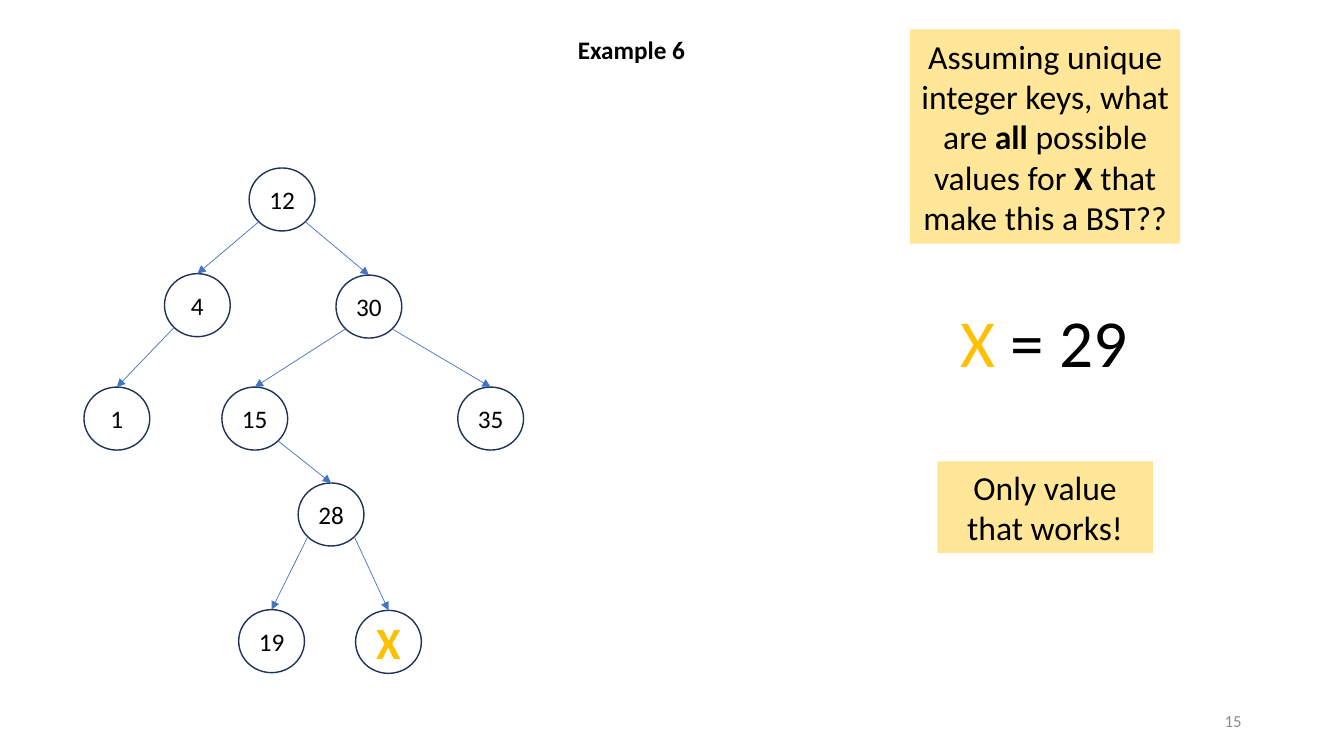
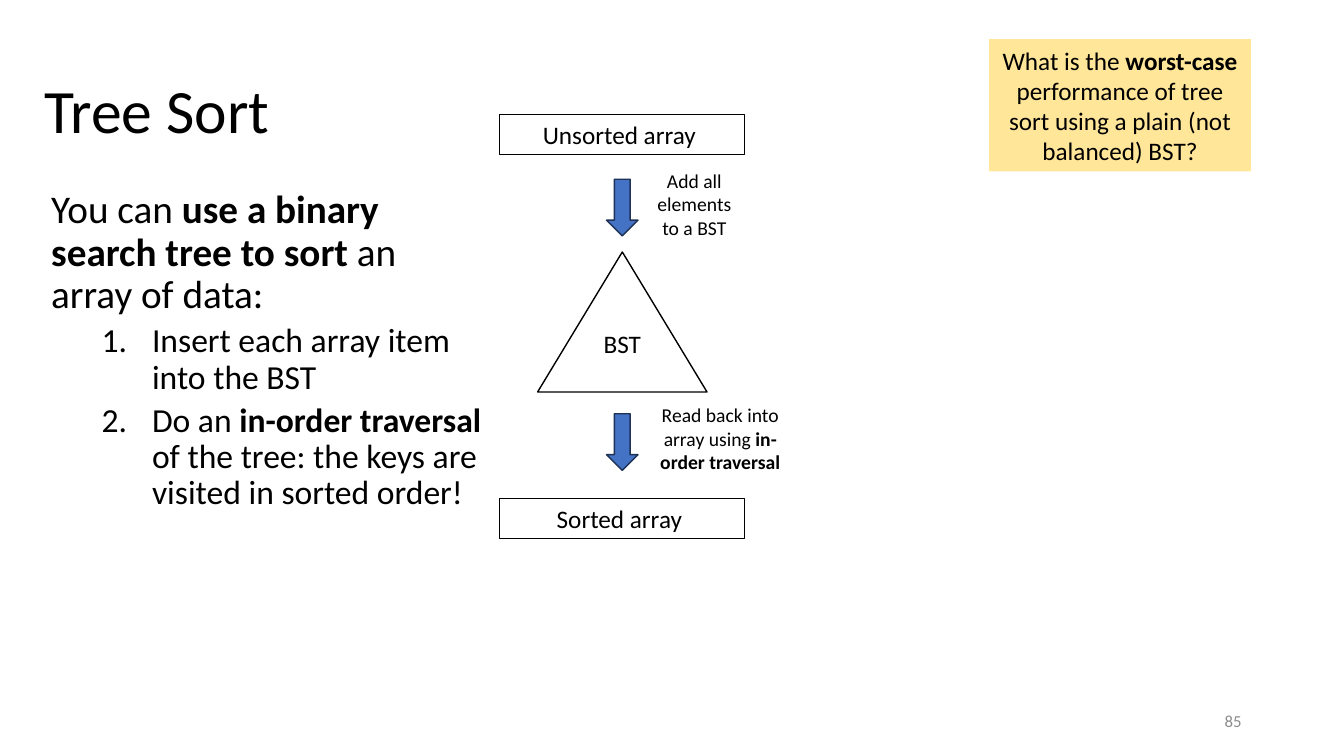
"""Build two slides on binary search trees: a key puzzle and tree sort."""
import math

import pptx
import pptx.dml.color
import pptx.enum.shapes
import pptx.enum.text
import pptx.oxml.xmlchemy
import pptx.util

Pt = pptx.util.Pt
SHAPE = pptx.enum.shapes.MSO_SHAPE
ALIGN = pptx.enum.text.PP_ALIGN
ANCHOR = pptx.enum.text.MSO_ANCHOR
FONT = "Calibri"
COLORS = {
    "text": "000000",
    "muted": "8C8C8C",
    "note": "FFE699",
    "accent": "FFC000",
    "blue": "4472C4",
    "navy": "1E3256",
}
BOLD = {"bold": True}
GOLD = {"color": "accent"}

NODE_W, NODE_H = 47, 45
NODES = {
    "12": (118, 0),
    "4": (57.5, 75.5),
    "30": (180, 76.5),
    "1": (0, 156.5),
    "15": (98.5, 156.5),
    "35": (267, 156.5),
    "28": (153, 225),
    "19": (110.5, 315.5),
    "X": (194, 316),
}
EDGES = [("12", "4"), ("12", "30"), ("4", "1"), ("30", "15"),
         ("30", "35"), ("15", "28"), ("28", "19"), ("28", "X")]


def rgb(name):
    """Return the named colour."""
    return pptx.dml.color.RGBColor.from_string(COLORS[name])


def add_xml(parent, tag, **attrs):
    """Append a DrawingML element with the given attributes."""
    el = pptx.oxml.xmlchemy.OxmlElement(tag)
    for key, value in attrs.items():
        el.set(key, str(value))
    parent.append(el)


def write(tf, runs, size=18, color="text", bold=False, align=ALIGN.CENTER,
          anchor=ANCHOR.MIDDLE, wrap=True, spacing=1.0, before=0,
          numbered=False, new=False):
    """Write one paragraph; runs is a string or a list of strings and (string, format) pairs."""
    tf.word_wrap = wrap
    tf.vertical_anchor = anchor
    tf.auto_size = pptx.enum.text.MSO_AUTO_SIZE.NONE
    p = tf.add_paragraph() if new else tf.paragraphs[0]
    p.alignment = align
    p.line_spacing = spacing
    p.space_before = Pt(before)
    if numbered:
        pPr = p._p.get_or_add_pPr()
        pPr.set("marL", str(Pt(72)))
        pPr.set("indent", str(Pt(-36)))
        add_xml(pPr, "a:buFont", typeface="+mj-lt")
        add_xml(pPr, "a:buAutoNum", type="arabicPeriod")
    for run in [runs] if isinstance(runs, str) else runs:
        text, fmt = (run, {}) if isinstance(run, str) else run
        r = p.add_run()
        r.text = text
        r.font.name = FONT
        r.font.size = Pt(size)
        r.font.bold = fmt.get("bold", bold)
        r.font.color.rgb = rgb(fmt.get("color", color))


def add_box(slide, kind, x, y, w, h, fill=None, line=None, width=1):
    """Add a preset shape with optional fill and outline."""
    sp = slide.shapes.add_shape(kind, Pt(x), Pt(y), Pt(w), Pt(h))
    sp.shadow.inherit = False
    if fill:
        sp.fill.solid()
        sp.fill.fore_color.rgb = rgb(fill)
    else:
        sp.fill.background()
    if line:
        sp.line.color.rgb = rgb(line)
        sp.line.width = Pt(width)
    else:
        sp.line.fill.background()
    return sp


def add_label(slide, runs, x, y, w, h, **fmt):
    """Add a text box and return its text frame."""
    tf = slide.shapes.add_textbox(Pt(x), Pt(y), Pt(w), Pt(h)).text_frame
    write(tf, runs, **{"anchor": ANCHOR.TOP, **fmt})
    return tf


def add_note(slide, runs, x, y, w, h, size=24):
    """Add a yellow note."""
    sp = add_box(slide, SHAPE.RECTANGLE, x, y, w, h, fill="note")
    write(sp.text_frame, runs, size=size)


def new_slide(prs, title, number, x, y, w, h, **fmt):
    """Add a title-only slide with its title and slide number."""
    slide = prs.slides.add_slide(prs.slide_layouts[5])
    sp = slide.shapes.title
    sp.left, sp.top, sp.width, sp.height = Pt(x), Pt(y), Pt(w), Pt(h)
    write(sp.text_frame, title, align=ALIGN.LEFT, **fmt)
    add_label(slide, number, 678, 500.5, 216, 29, size=12, color="muted",
              align=ALIGN.RIGHT, anchor=ANCHOR.MIDDLE)
    return slide


def add_edge(slide, parent, child):
    """Draw an arrow from the lower flank of a node to the top of its child."""
    side = 1 if child.left > parent.left else -1
    reach = math.cos(math.pi / 4)
    x = parent.left + parent.width / 2 * (1 + side * reach)
    y = parent.top + parent.height / 2 * (1 + reach)
    cxn = slide.shapes.add_connector(
        pptx.enum.shapes.MSO_CONNECTOR.STRAIGHT, int(x), int(y),
        child.left + child.width // 2, child.top)
    cxn.end_connect(child, 0)
    cxn.line.color.rgb = rgb("blue")
    cxn.line.width = Pt(0.5)
    add_xml(cxn.line._get_or_add_ln(), "a:tailEnd", type="triangle")
    add_xml(cxn._element.spPr, "a:effectLst")


def draw_tree(slide, x, y):
    """Draw the search tree with its top left corner at x, y."""
    nodes = {}
    for key, (dx, dy) in NODES.items():
        sp = add_box(slide, SHAPE.OVAL, x + dx, y + dy, NODE_W, NODE_H, line="navy")
        fmt = {"size": 32, "color": "accent", "bold": True} if key == "X" else {}
        write(sp.text_frame, key, wrap=False, **fmt)
        nodes[key] = sp
    for parent, child in EDGES:
        add_edge(slide, nodes[parent], nodes[child])


def draw_sort_flow(slide, x, y, w=175):
    """Draw the flow from unsorted to sorted array in a column of width w."""
    for text, dy in [("Unsorted array ", 0), ("Sorted array ", 274.5)]:
        sp = add_box(slide, SHAPE.RECTANGLE, x, y + dy, w, 29, line="text", width=0.75)
        write(sp.text_frame, text)
    steps = [
        ("Add all elements to a BST", 46.5, 73),
        (["Read back into array using ", ("in-order traversal", BOLD)], 214, 110),
    ]
    for runs, dy, label_w in steps:
        add_box(slide, SHAPE.DOWN_ARROW, x + (w - 22.5) / 2, y + dy, 22.5, 40.5,
                fill="blue", line="navy")
        add_label(slide, runs, x + 102.5, y + dy - 11, label_w, 58, size=14)
    sp = add_box(slide, SHAPE.ISOSCELES_TRIANGLE, x + (w - 121) / 2, y + 98.5,
                 121, 100, line="text")
    tf = sp.text_frame
    tf.margin_top, tf.margin_bottom = 0, Pt(20)
    write(tf, "BST", wrap=False)


def build_puzzle(prs):
    """Build the slide that asks for the missing key."""
    slide = new_slide(prs, "Example 6", "15", 405.5, 21, 91.5, 29, bold=True,
                      anchor=ANCHOR.TOP, wrap=False)
    draw_tree(slide, 60, 120)
    add_note(slide, ["Assuming unique integer keys, what are ", ("all", BOLD),
                     " possible values for ", ("X ", BOLD),
                     "that make this a BST??"], 650, 21, 193, 153)
    add_label(slide, [("X", GOLD), " = 29"], 679, 211, 134.5, 65.5, size=48,
              align=ALIGN.LEFT, wrap=False)
    add_note(slide, "Only value that works!", 669.5, 329.5, 154, 65.5)


def build_tree_sort(prs):
    """Build the slide that explains tree sort."""
    slide = new_slide(prs, "Tree Sort", "85", 24.5, 29, 276.5, 104.5, size=44,
                      spacing=0.9)
    body = {"align": ALIGN.LEFT, "anchor": ANCHOR.TOP, "spacing": 0.9}
    tf = add_label(slide, ["You can ", ("use a binary search tree to sort", BOLD),
                           " an array of data:"],
                   29.5, 132, 322, 342.5, size=28, before=10, **body)
    items = [
        "Insert each array item into the BST",
        ["Do an ", ("in-order traversal ", BOLD),
         "of the tree: the keys are visited in sorted order!"],
    ]
    for item in items:
        write(tf, item, size=24, before=5, numbered=True, new=True, **body)
    draw_sort_flow(slide, 357, 81.5)
    add_note(slide, ["What is the ", ("worst-case", BOLD),
                     " performance of tree sort using a plain (not balanced) BST?"],
             706.5, 28, 187, 94.5, size=18)


def main():
    """Build and save the presentation."""
    prs = pptx.Presentation()
    prs.slide_width, prs.slide_height = Pt(960), Pt(540)
    build_puzzle(prs)
    build_tree_sort(prs)
    prs.save("out.pptx")


if __name__ == "__main__":
    main()
